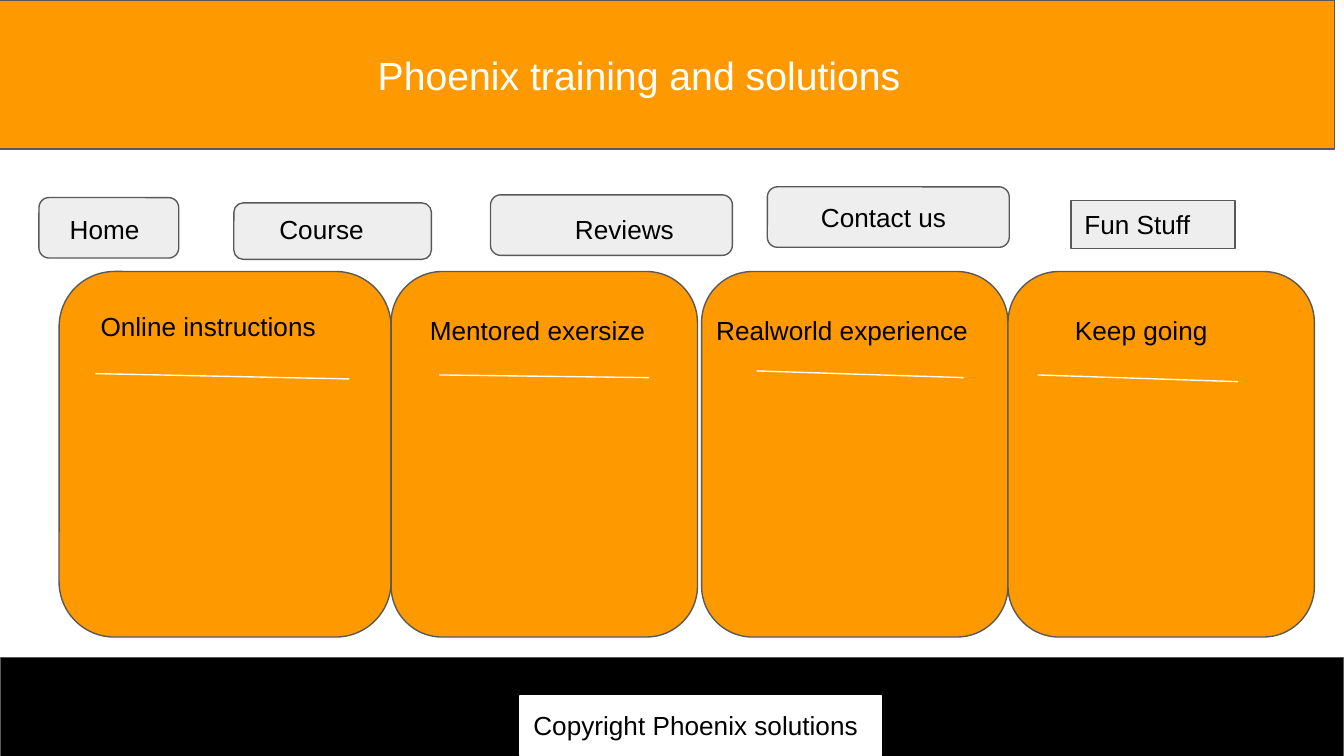
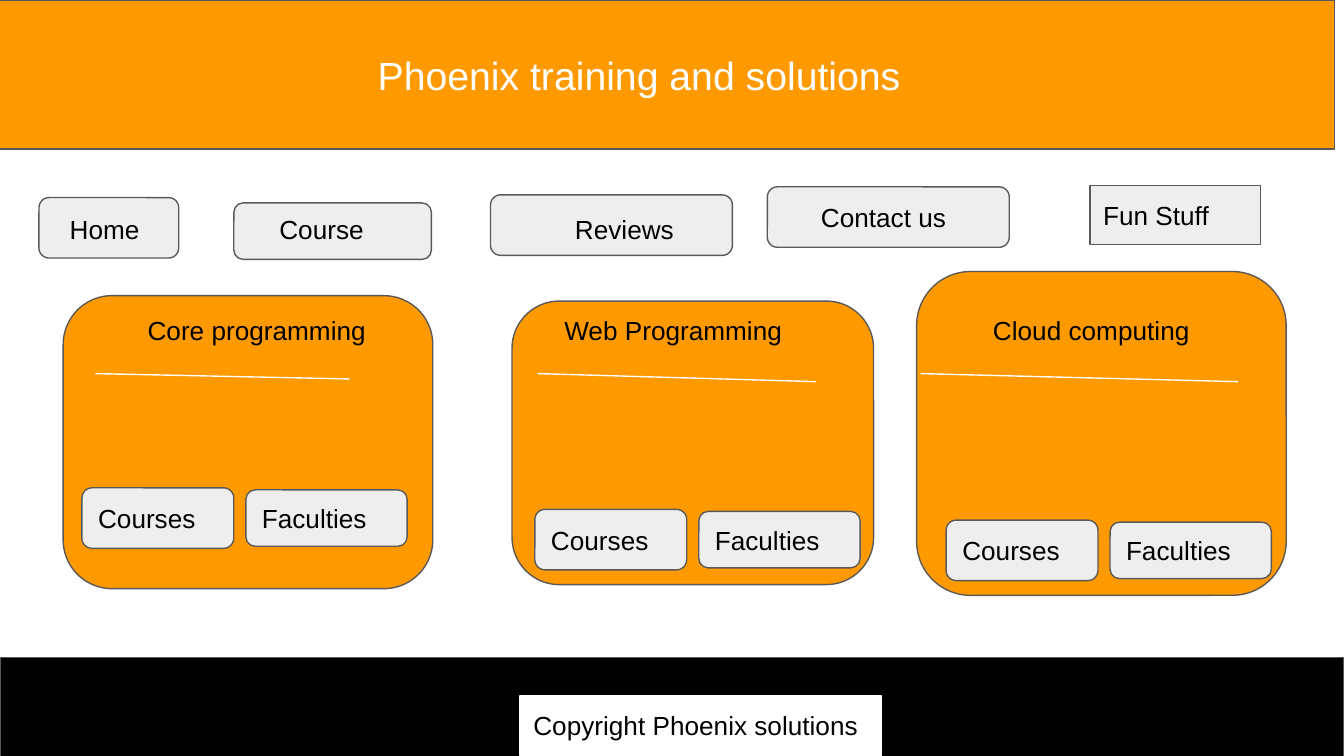
from dataclasses import dataclass

from lxml import etree
from pptx import Presentation
from pptx.dml.color import RGBColor
from pptx.enum.shapes import MSO_CONNECTOR, MSO_SHAPE
from pptx.enum.text import MSO_ANCHOR, MSO_AUTO_SIZE, PP_ALIGN
from pptx.oxml.ns import qn
from pptx.util import Inches, Pt

RECT, ROUNDED = MSO_SHAPE.RECTANGLE, MSO_SHAPE.ROUNDED_RECTANGLE
STRAIGHT = MSO_CONNECTOR.STRAIGHT
TOP, MIDDLE = MSO_ANCHOR.TOP, MSO_ANCHOR.MIDDLE
GROW, FIXED = MSO_AUTO_SIZE.SHAPE_TO_FIT_TEXT, MSO_AUTO_SIZE.NONE
LEFT = PP_ALIGN.LEFT

# Grid: 100 columns across a 16:9 slide, square cells
COLUMNS, ROWS = 100, 56.25
CELL = 0.1
TITLE_ONLY = 5
LABEL_ROWS = 4.4


@dataclass(frozen=True)
class Theme:
    orange: RGBColor = RGBColor(0xFF, 0x99, 0x00)
    grey: RGBColor = RGBColor(0xEE, 0xEE, 0xEE)
    outline: RGBColor = RGBColor(0x59, 0x59, 0x59)
    black: RGBColor = RGBColor(0, 0, 0)
    white: RGBColor = RGBColor(0xFF, 0xFF, 0xFF)
    font: str = "Arial"
    title: Pt = Pt(21)
    body: Pt = Pt(14)
    stroke: Pt = Pt(0.75)
    inset: Inches = Inches(0.1)


THEME = Theme()


@dataclass(frozen=True)
class Box:
    """A rectangle in grid cells."""
    x: float
    y: float
    w: float
    h: float

    def inner(self, dx, dy, w, h):
        return Box(self.x + dx, self.y + dy, w, h)

    def emu(self):
        return [cells(v) for v in (self.x, self.y, self.w, self.h)]


def cells(count):
    return Inches(count * CELL)


# Shared drawing helpers
def write(target, text, size=THEME.body, color=THEME.black, anchor=TOP, fit=GROW):
    frame = target.text_frame
    frame.text = text
    frame.word_wrap = True
    frame.auto_size = fit
    frame.vertical_anchor = anchor
    frame.margin_left = frame.margin_right = THEME.inset
    frame.margin_top = frame.margin_bottom = THEME.inset
    line = frame.paragraphs[0]
    line.alignment = LEFT
    line.font.name, line.font.size = THEME.font, size
    line.font.color.rgb = color


def panel(slide, kind, box, fill, outline=THEME.outline):
    area = slide.shapes.add_shape(kind, *box.emu())
    area.shadow.inherit = False
    area.fill.solid()
    area.fill.fore_color.rgb = fill
    area.line.color.rgb = outline
    area.line.width = THEME.stroke
    return area


def label(slide, box, text):
    write(slide.shapes.add_textbox(*box.emu()), text)


def button(slide, kind, box, text):
    write(panel(slide, kind, box, THEME.grey), text, anchor=MIDDLE, fit=FIXED)


def rule(slide, card, start, end):
    ends = [cells(v) for dx, dy in (start, end) for v in (card.x + dx, card.y + dy)]
    stroke = slide.shapes.add_connector(STRAIGHT, *ends)
    stroke.line.color.rgb = THEME.white
    stroke.line.width = THEME.stroke
    etree.SubElement(stroke._element.spPr, qn("a:effectLst"))


# Header band with the slide title
def header(slide, box):
    band = panel(slide, RECT, box, THEME.orange)
    title = slide.shapes.title
    title._element.addprevious(band._element)
    title.left, title.top, title.width, title.height = box.inner(27.8, 2.8, 45.7, 5.6).emu()
    write(title, "Phoenix training and solutions", THEME.title, THEME.white)


# Navigation: tab box, label text, label offset and width
TABS = [
    (Box(2.9, 14.7, 10.4, 4.5), "Home", (1.3, 0.2), 8.9),
    (Box(17.4, 15.1, 14.7, 4.2), "Course", (2.4, -0.2), 8.9),
    (Box(36.5, 14.5, 18, 4.5), "Reviews", (5.3, 0.4), 9.6),
    (Box(57.1, 13.9, 18, 4.5), "Contact us", (3, 0.1), 13.8),
]


def navigation(slide, fun_box):
    for tab, text, offset, width in TABS:
        panel(slide, ROUNDED, tab, THEME.grey)
        label(slide, tab.inner(*offset, width, LABEL_ROWS), text)
    button(slide, RECT, fun_box, "Fun Stuff")


# Card: heading and underline, with optional pair of buttons
@dataclass(frozen=True)
class Card:
    box: Box
    heading: str
    offset: tuple
    width: float
    rule_start: tuple
    rule_end: tuple
    buttons: tuple = ()


def draw_card(slide, card):
    box = card.box
    panel(slide, ROUNDED, box, THEME.orange)
    label(slide, box.inner(*card.offset, card.width, LABEL_ROWS), card.heading)
    rule(slide, box, card.rule_start, card.rule_end)
    if card.buttons:
        courses = box.inner(*card.buttons, 11.3, 4.5)
        button(slide, ROUNDED, courses, "Courses")
        button(slide, ROUNDED, courses.inner(12.2, 0.15, 12, 4.2), "Faculties")


# Footer band with the copyright plate
def footer(slide, box):
    panel(slide, RECT, box, THEME.black)
    plate = panel(slide, RECT, box.inner(38.7, 2.9, 26.9, LABEL_ROWS),
                  THEME.white, THEME.white)
    write(plate, "Copyright Phoenix solutions")


HOME_CARDS = [
    Card(Box(4.4, 20.2, 24.7, 27.2), "Online instructions",
         (2.1, 1.9), 19.4, (2.7, 7.6), (21.6, 8)),
    Card(Box(29.1, 20.2, 22.8, 27.2), "Mentored exersize",
         (1.9, 2.2), 19.4, (3.6, 7.7), (19.2, 7.9)),
    Card(Box(52.2, 20.2, 22.8, 27.2), "Realworld experience",
         (0.1, 2.2), 22.2, (4.1, 7.4), (19.5, 7.9)),
    Card(Box(75, 20.2, 22.8, 27.2), "Keep going",
         (4, 2.2), 13.8, (2.2, 7.7), (17.1, 8.2)),
]
COURSE_CARDS = [
    Card(Box(4.7, 22, 27.5, 21.8), "Core programming",
         (5.3, 0.4), 19.4, (2.4, 5.8), (21.3, 6.2), (1.4, 14.3)),
    Card(Box(38.1, 22.4, 26.9, 21.1), "Web Programming",
         (2.9, 0), 22.2, (1.9, 5.4), (22.6, 6), (1.7, 15.5)),
    Card(Box(68.2, 20.2, 27.5, 24.1), "Cloud computing",
         (4.7, 2.2), 24.6, (0.3, 7.6), (23.9, 8.2), (2.2, 18.5)),
]


def site_page(deck, cards, fun_box):
    slide = deck.slides.add_slide(deck.slide_layouts[TITLE_ONLY])
    header(slide, Box(-0.7, 0, COLUMNS, 11.1))
    navigation(slide, fun_box)
    for card in cards:
        draw_card(slide, card)
    footer(slide, Box(0, 48.9, COLUMNS, 10.2))


def main():
    deck = Presentation()
    deck.slide_width, deck.slide_height = cells(COLUMNS), cells(ROWS)
    site_page(deck, HOME_CARDS, Box(79.7, 14.9, 12.2, 3.6))
    site_page(deck, COURSE_CARDS, Box(81.1, 13.8, 12.7, 4.4))
    deck.save("out.pptx")


if __name__ == "__main__":
    main()
